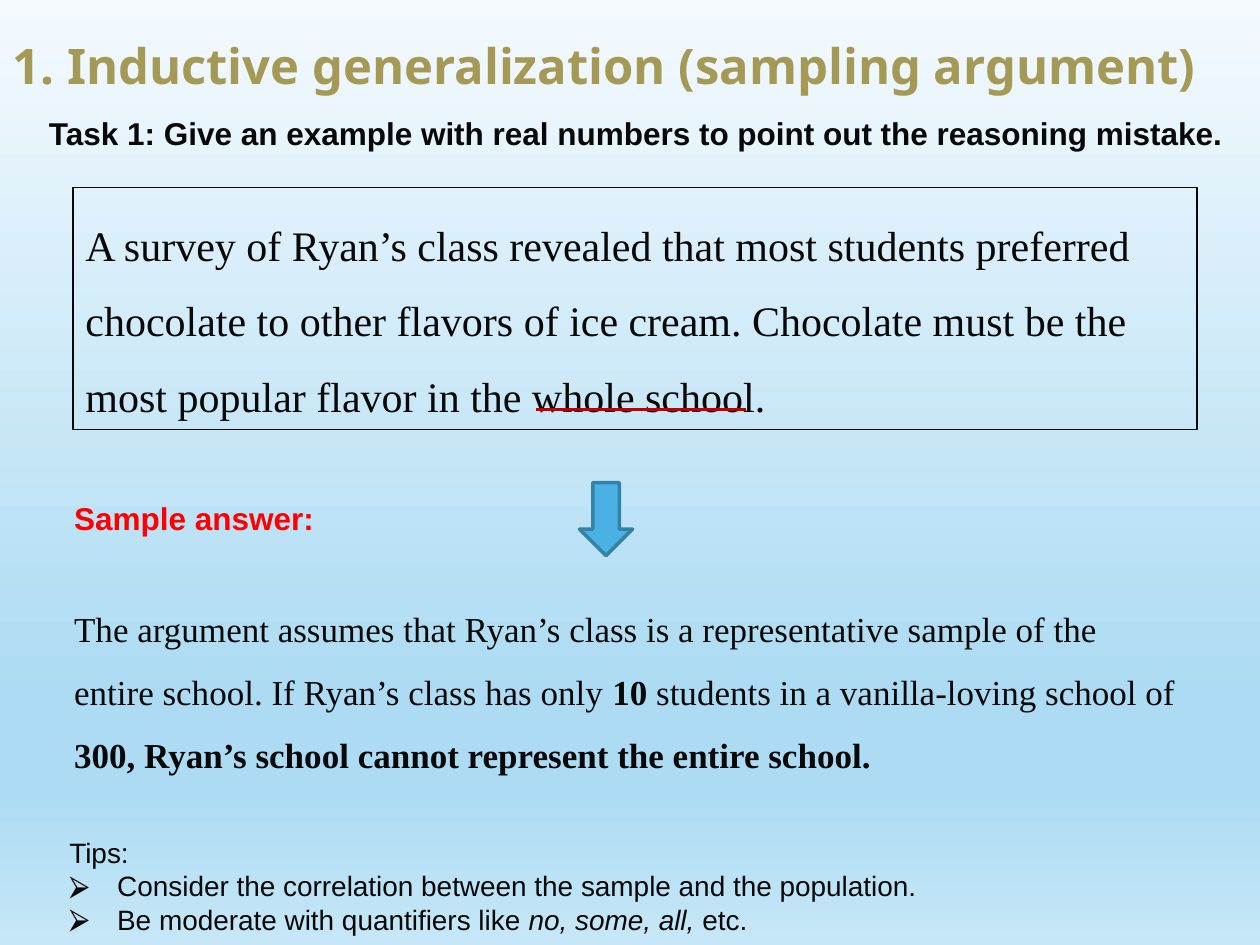
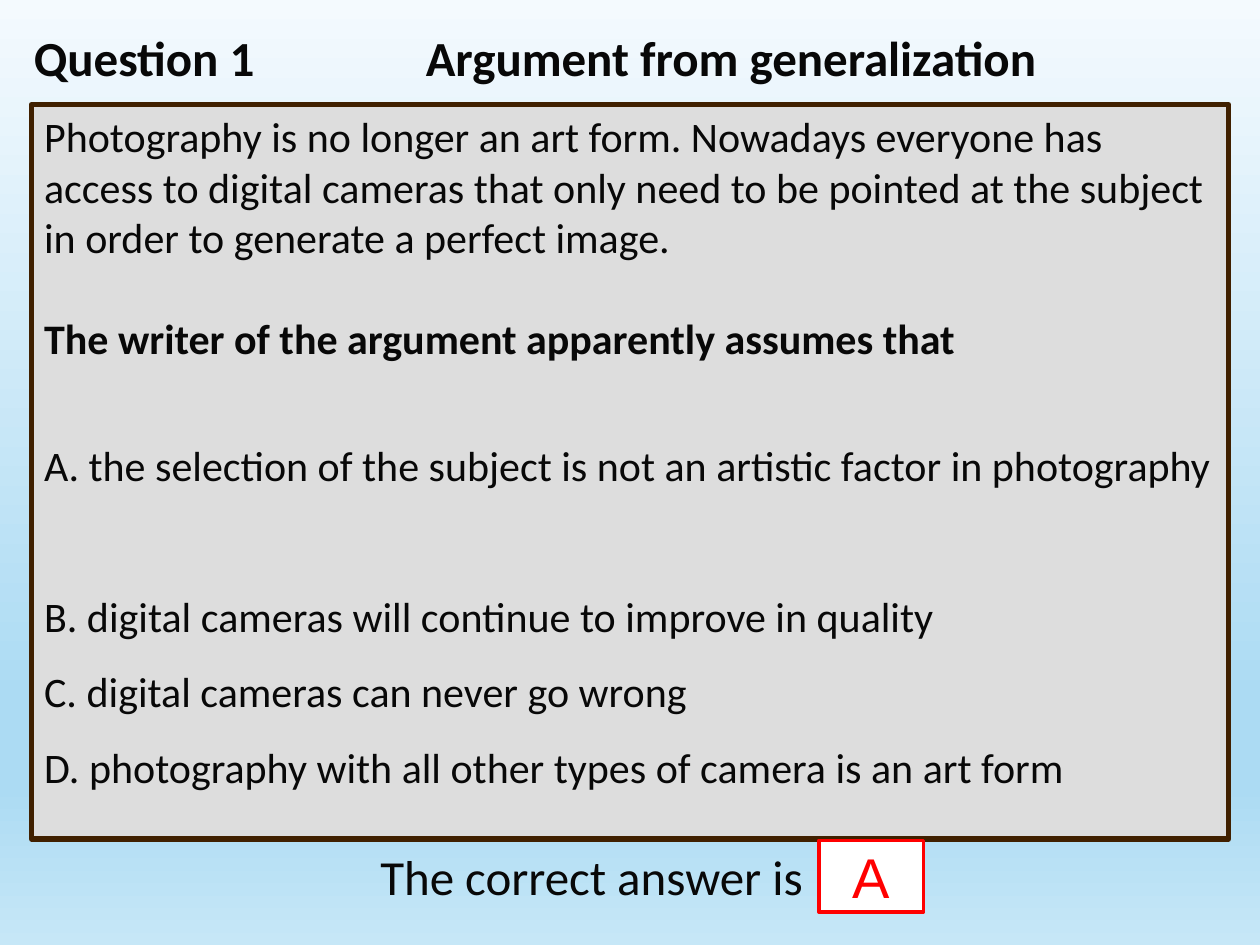
from lxml import etree
from pptx import Presentation
from pptx import util as u
from pptx.dml.color import RGBColor
from pptx.enum import shapes, text
from pptx.oxml.ns import qn

PX = 9144  # EMU per px, 100 px to the inch
COLORS = {"ink": "080808", "olive": "A59A55", "red": "FF0000", "dark_red": "C00000",
          "arrow": "4AB1E4", "arrow_edge": "3681A6", "panel": "DDDDDD",
          "panel_edge": "402000", "white": "FFFFFF"}
SKY = [(0, "F4FAFE"), (74, "ACDBF3"), (83, "ACDBF3"), (100, "C6E7F7")]
SERIF = {"name": "Times New Roman", "color": "ink"}
ARIAL = {"name": "Arial", "color": "ink"}
CALIBRI = {"name": "Calibri", "color": "ink"}


def place(shape, area, fill=None, edge=None, weight=1):
    """Position a shape in px and give it a flat fill and outline."""
    shape.left, shape.top, shape.width, shape.height = [u.Emu(n * PX) for n in area]
    if fill:
        shape.fill.solid()
        shape.fill.fore_color.rgb = RGBColor.from_string(COLORS[fill])
    else:
        shape.fill.background()
    if edge:
        shape.line.color.rgb = RGBColor.from_string(COLORS[edge])
        shape.line.width = u.Pt(weight)
    shape.shadow.inherit = False
    return shape


def write(shape, paragraphs, base, anchor=text.MSO_ANCHOR.TOP, align=text.PP_ALIGN.LEFT):
    """Fill a shape; each paragraph is (format, [(words, font changes), ...])."""
    frame = shape.text_frame
    frame.word_wrap = True
    frame.auto_size = text.MSO_AUTO_SIZE.NONE
    frame.vertical_anchor = anchor
    for index, (layout, spans) in enumerate(paragraphs):
        para = frame.add_paragraph() if index else frame.paragraphs[0]
        props = para._p.get_or_add_pPr()
        indent = 38 * PX if layout.get("bullet") else 0
        props.set("marL", str(indent))
        props.set("indent", str(-indent))
        if indent:
            color = etree.SubElement(props, qn("a:buClr"))
            etree.SubElement(color, qn("a:srgbClr"), val=COLORS["ink"])
            etree.SubElement(props, qn("a:buFont"), typeface="Arial")
            etree.SubElement(props, qn("a:buChar"), char="⮚")
        else:
            etree.SubElement(props, qn("a:buNone"))
        para.alignment = align
        para.line_spacing = layout.get("spacing", 1.0)
        para.space_before = u.Pt(layout.get("before", 0))
        for words, changes in spans:
            span = para.add_run()
            span.text = words
            for key, value in {**base, **changes}.items():
                if key == "color":
                    span.font.color.rgb = RGBColor.from_string(COLORS[value])
                else:
                    setattr(span.font, key, u.Pt(value) if key == "size" else value)


deck = Presentation()
deck.slide_width, deck.slide_height = u.Emu(1000 * PX), u.Emu(750 * PX)

# Shared sky gradient on the master
master = deck.slide_master
master.background.fill.gradient()
gradient = master.element.find(".//" + qn("p:bg") + "//" + qn("a:gradFill"))
stops = gradient.find(qn("a:gsLst"))
for stop in list(stops):
    stops.remove(stop)
for percent, color in SKY:
    stop = etree.SubElement(stops, qn("a:gs"), pos=str(percent * 1000))
    etree.SubElement(stop, qn("a:srgbClr"), val=color)
gradient.find(qn("a:lin")).set("ang", "5400000")

task_page, question_page = [deck.slides.add_slide(deck.slide_layouts[1]) for _ in range(2)]

# Slide 1: title and tips
title = place(task_page.shapes.title, (0, 23, 1000, 70))
write(title, [({}, [("1. Inductive generalization (sampling argument)", {})])],
      {"name": "Noto Sans", "size": 28, "bold": True, "color": "olive"})
tips = place(task_page.placeholders[1], (45, 658, 925, 94))
write(tips, [
    ({}, [("Tips:", {})]),
    ({"bullet": True}, [("Consider the correlation between the sample and the population.", {})]),
    ({"bullet": True}, [("Be moderate with quantifiers like ", {}),
                        ("no, some, all, ", {"italic": True}), ("etc.", {})]),
], {**ARIAL, "size": 16})

# Slide 1: survey argument with its key words underlined
survey = place(task_page.shapes.add_shape(shapes.MSO_SHAPE.RECTANGLE, 0, 0, 0, 0),
               (58, 149, 892, 192), edge="ink", weight=0.75)
write(survey, [({"spacing": 1.5}, [(
    "A survey of Ryan’s class revealed that most students preferred chocolate to other "
    "flavors of ice cream. Chocolate must be the most popular flavor in the whole school.",
    {})])], {**SERIF, "size": 24})
underline = task_page.shapes.add_connector(
    shapes.MSO_CONNECTOR.STRAIGHT, *[u.Emu(n * PX) for n in (425, 325, 592, 325)])
underline.line.color.rgb = RGBColor.from_string(COLORS["dark_red"])
underline.line.width = u.Pt(2.25)
etree.SubElement(underline._element.spPr, qn("a:effectLst"))

# Slide 1: arrow down to the answer
place(task_page.shapes.add_shape(shapes.MSO_SHAPE.DOWN_ARROW, 0, 0, 0, 0),
      (460, 383, 42, 58), "arrow", "arrow_edge", 2)

# Plain text boxes of both slides
HEADING = {**CALIBRI, "size": 28, "bold": True}
LABEL = {**ARIAL, "size": 18, "bold": True}
boxes = [
    (task_page, (29, 86, 958, 40), LABEL, 1.0, [(
        "Task 1: Give an example with real numbers to point out the reasoning mistake.", {})]),
    (task_page, (49, 391, 217, 40), {**LABEL, "color": "red"}, 1.0, [("Sample answer:", {})]),
    (task_page, (49, 461, 900, 156), {**SERIF, "size": 20}, 1.5, [
        ("The argument assumes that Ryan’s class is a representative sample of the entire "
         "school. If Ryan’s class has only ", {}),
        ("10 ", {"bold": True}),
        ("students in a vanilla-loving school of ", {}),
        ("300, Ryan’s school cannot represent the entire school.", {"bold": True})]),
    (question_page, (17, 17, 198, 57), HEADING, 1.0, [("Question 1", {})]),
    (question_page, (292, 667, 467, 57), {**CALIBRI, "size": 28}, 1.0,
     [("The correct answer is", {})]),
]
for page, area, base, spacing, spans in boxes:
    box = place(page.shapes.add_textbox(0, 0, 0, 0), area)
    write(box, [({"spacing": spacing}, spans)], base)

# Slide 2: title and question panel
title = place(question_page.shapes.title, (328, 17, 510, 57))
write(title, [({}, [("Argument from generalization", {})])], HEADING)
panel = place(question_page.placeholders[1], (25, 83, 950, 583), "panel", "panel_edge", 3)
choices = [
    ("A. the selection of the subject is not an artistic factor in photography", 29),
    ("B. digital cameras will continue to improve in quality", 43),
    ("C. digital cameras can never go wrong", 0),
    ("D. photography with all other types of camera is an art form", 0),
]
write(panel, [
    ({}, [("Photography is no longer an art form. Nowadays everyone has access to digital "
           "cameras that only need to be pointed at the subject in order to generate a "
           "perfect image.", {})]),
    ({"before": 29}, [("The writer of the argument apparently assumes that", {"bold": True})]),
    *[({"before": gap, "spacing": 1.5}, [(choice, {})]) for choice, gap in choices],
], {**CALIBRI, "size": 24})

# Slide 2: answer letter
answer = place(question_page.shapes.add_shape(shapes.MSO_SHAPE.RECTANGLE, 0, 0, 0, 0),
               (650, 667, 83, 57), "white", "red", 2)
write(answer, [({}, [("A", {})])], {**ARIAL, "size": 32, "color": "red"},
      text.MSO_ANCHOR.MIDDLE, text.PP_ALIGN.CENTER)

deck.save("out.pptx")
